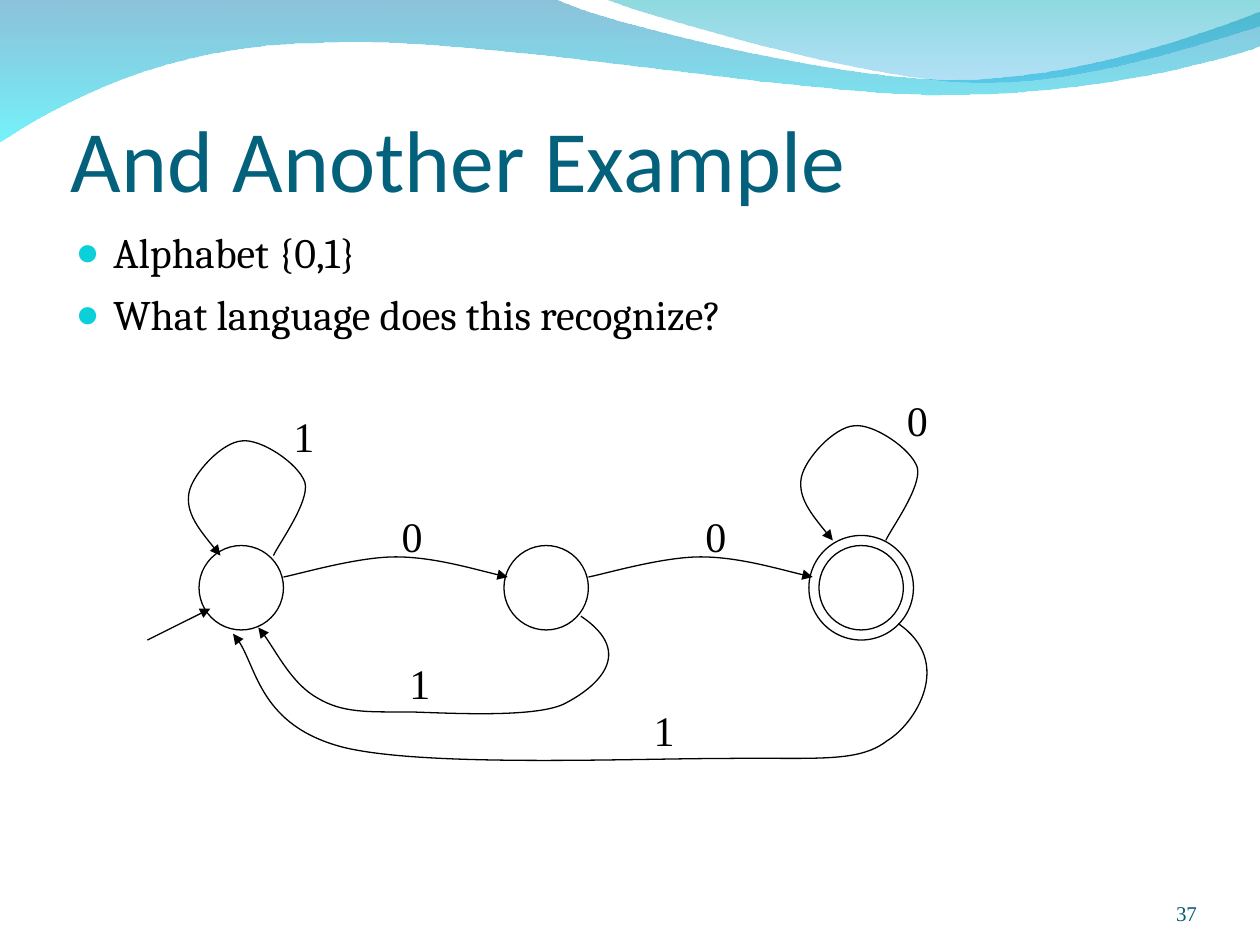
from dataclasses import dataclass

from lxml import etree
from pptx import Presentation
from pptx.dml.color import RGBColor
from pptx.enum.shapes import MSO_CONNECTOR, MSO_SHAPE
from pptx.enum.text import MSO_ANCHOR, MSO_AUTO_SIZE, PP_ALIGN
from pptx.oxml.ns import qn
from pptx.util import Cm, Pt

LINE = MSO_CONNECTOR.STRAIGHT
OVAL = MSO_SHAPE.OVAL
LEFT, RIGHT = PP_ALIGN.LEFT, PP_ALIGN.RIGHT
TOP, BOTTOM = MSO_ANCHOR.TOP, MSO_ANCHOR.BOTTOM
FIXED = MSO_AUTO_SIZE.NONE

INK = {
    "black": "000000", "title": "04617B", "page": "045C75", "dot": "0BD0D9",
    "deep": "0079AF", "aqua": "00EBF8", "teal": "00ADB6", "sky": "009BE5",
}
TITLE = {"name": "Calibri", "size": Pt(50)}
BODY = {"name": "Cambria", "size": Pt(24)}
LABEL = {"name": "Times New Roman", "size": Pt(24)}
PAGE = {"name": "Times New Roman", "size": Pt(12)}

Point = tuple[float, float]
Curve = list[tuple[Point, ...]]  # start, then lines (1 point) or Béziers (3)


@dataclass
class Wave:
    curve: Curve
    stops: list[tuple[str, int]]  # colour, opacity in percent


@dataclass
class State:
    x: float
    y: float
    size: float


@dataclass
class Edge:
    curve: Curve
    text: str
    spot: Point
    shift: Point = (0, 0)


WAVES = [
    Wave([((0, -0.01),), ((4.4, -0.01),),
          ((4.76, 0.17), (6.64, 0.63), (7.58, 0.63)),
          ((8.53, 0.63), (9.58, 0.26), (10, 0.09)), ((10.01, 0.36),),
          ((9.83, 0.44), (8.7, 0.76), (7.46, 0.75)),
          ((6.22, 0.75), (3.82, 0.28), (2.57, 0.34)),
          ((1.29, 0.35), (0.46, 0.83), (-0.01, 1.13)), ((0, -0.01),)],
         [("deep", 45), ("aqua", 55)]),
    Wave([((4.79, -0.01),), ((5.09, 0.11), (6.82, 0.62), (7.69, 0.65)),
          ((8.56, 0.69), (9.61, 0.32), (10, 0.21)), ((10, 0),),
          ((4.79, -0.01),)],
         [("teal", 45), ("sky", 30)]),
]

STATES = [State(x, 4.33, 0.67) for x in (1.58, 4, 6.5)] + [State(6.42, 4.25, 0.83)]

ARC = [((2.25, 4.58),), ((2.4, 4.55), (2.84, 4.42), (3.14, 4.42)),
       ((3.44, 4.42), (3.84, 4.54), (4.03, 4.58))]
LOOP = [((2.17, 4.41),), ((2.21, 4.32), (2.46, 3.98), (2.42, 3.83)),
        ((2.37, 3.68), (2.07, 3.48), (1.92, 3.5)),
        ((1.76, 3.51), (1.53, 3.76), (1.5, 3.91)),
        ((1.47, 4.07), (1.61, 4.24), (1.75, 4.41))]
BACK = [((4.61, 4.89),), ((5.06, 5.19), (4.72, 5.46), (4.49, 5.58)),
        ((4.27, 5.7), (3.58, 5.66), (3.25, 5.65)),
        ((2.92, 5.65), (2.72, 5.66), (2.52, 5.54)),
        ((2.32, 5.43), (2.15, 5.09), (2.05, 4.98))]
RESET = [((7.13, 4.95),), ((7.58, 5.26), (7.26, 5.75), (7.04, 5.88)),
         ((6.81, 6.06), (6.46, 6.01), (5.74, 6.02)),
         ((5.02, 6.02), (3.36, 6.09), (2.72, 5.93)),
         ((2.07, 5.76), (2.03, 5.22), (1.85, 5.03))]
EDGES = [
    Edge(ARC, "0", (3.09, 4)),
    Edge(ARC, "0", (5.5, 4), (2.42, 0)),
    Edge(LOOP, "1", (2.23, 3.21)),
    Edge(LOOP, "0", (7.1, 3.08), (4.86, -0.12)),
    Edge(BACK, "1", (3.15, 5.17)),
    Edge(RESET, "1", (5.09, 5.54)),
]


def unit(val: float) -> int:
    """Turn one grid unit of the slide (2.54 cm) into a length."""
    return Cm(2.54 * val)


def rgb(key: str) -> RGBColor:
    return RGBColor.from_string(INK[key])


def outline(shape, arrow: bool = False) -> None:
    shape.line.color.rgb = rgb("black")
    shape.line.width = Pt(0.75)
    props = shape.element.spPr
    if arrow:
        etree.SubElement(props.find(qn("a:ln")), qn("a:tailEnd"), type="triangle")
    etree.SubElement(props, qn("a:effectLst"))


def freeform(slide, curve: Curve, shift: Point = (0, 0), close: bool = False):
    """Build through all points, then join each Bézier's three lines to one curve."""
    dots = [(unit(x + shift[0]), unit(y + shift[1])) for part in curve for x, y in part]
    form = slide.shapes.build_freeform(*dots[0], scale=1.0)
    form.add_line_segments(dots[1:], close=close)
    shape = form.convert_to_shape()
    lines = iter(list(shape.element.spPr.iter(qn("a:lnTo"))))
    for part in curve[1:]:
        legs = [next(lines) for _ in part]
        if len(legs) == 3:
            bend = etree.Element(qn("a:cubicBezTo"))
            legs[0].addprevious(bend)
            for leg in legs:
                bend.append(leg[0])
                leg.getparent().remove(leg)
    return shape


def place(shape, *box: float) -> None:
    for key, val in zip(("left", "top", "width", "height"), box):
        setattr(shape, key, unit(val))


def write(para, text: str, style: dict, ink: str) -> None:
    run = para.add_run()
    run.text = text
    for key, val in style.items():
        setattr(run.font, key, val)
    run.font.color.rgb = rgb(ink)


def setup(frame, **style) -> None:
    for key, val in style.items():
        setattr(frame, key, val)


def draw_wave(slide, wave: Wave) -> None:
    shape = freeform(slide, wave.curve, close=True)
    shape.shadow.inherit = False
    shape.line.fill.background()
    shape.fill.gradient()
    shape.fill.gradient_angle = 270
    for stop, (ink, _) in zip(shape.fill.gradient_stops, wave.stops):
        stop.color.rgb = rgb(ink)
    marks = shape.element.spPr.iter(qn("a:srgbClr"))
    for mark, (_, alpha) in zip(marks, wave.stops):
        etree.SubElement(mark, qn("a:alpha"), val=str(alpha * 1000))
    slide.shapes.title.element.addprevious(shape.element)


def draw_state(slide, state: State) -> None:
    box = (state.x, state.y, state.size, state.size)
    shape = slide.shapes.add_shape(OVAL, *map(unit, box))
    shape.fill.background()
    outline(shape)


def draw_edge(slide, edge: Edge) -> None:
    shape = freeform(slide, edge.curve, edge.shift)
    shape.fill.background()
    outline(shape, arrow=True)
    box = slide.shapes.add_textbox(*map(unit, (*edge.spot, 0.36, 0.5)))
    box.text_frame.word_wrap = False
    write(box.text_frame.paragraphs[0], edge.text, LABEL, "black")


def add_bullet(para) -> None:
    props = para._p.get_or_add_pPr()
    props.set("marL", str(unit(0.3)))
    props.set("indent", str(-unit(0.3)))
    hue = etree.SubElement(props, qn("a:buClr"))
    etree.SubElement(hue, qn("a:srgbClr"), val=INK["dot"])
    etree.SubElement(props, qn("a:buSzPct"), val="95000")
    etree.SubElement(props, qn("a:buChar"), char="●")


def add_text(slide) -> None:
    title, body = slide.shapes.title, slide.placeholders[1]
    place(title, 0.56, 0.42, 9, 1.25)
    setup(title.text_frame, vertical_anchor=BOTTOM, auto_size=FIXED, margin_left=0,
          margin_right=0, margin_top=unit(0.05), margin_bottom=0)
    head = title.text_frame.paragraphs[0]
    head.alignment = LEFT
    write(head, "And Another Example", TITLE, "title")

    place(body, 0.5, 1.75, 9.08, 1)
    frame = body.text_frame
    setup(frame, vertical_anchor=TOP, auto_size=FIXED)
    for row, text in enumerate(("Alphabet {0,1}", "What language does this recognize?")):
        para = frame.add_paragraph() if row else frame.paragraphs[0]
        add_bullet(para)
        para.space_before = Pt(6.5 if row else 0)
        write(para, text, BODY, "black")

    page = slide.shapes.add_textbox(*map(unit, (8.67, 6.95, 0.83, 0.4)))
    setup(page.text_frame, word_wrap=True, vertical_anchor=BOTTOM, margin_left=0,
          margin_right=0, margin_top=0, margin_bottom=0)
    page.text_frame.paragraphs[0].alignment = RIGHT
    write(page.text_frame.paragraphs[0], "37", PAGE, "page")


def main() -> None:
    deck = Presentation()
    deck.slide_width, deck.slide_height = unit(10), unit(7.5)
    slide = deck.slides.add_slide(deck.slide_layouts[1])
    for wave in WAVES:
        draw_wave(slide, wave)
    add_text(slide)
    for state in STATES:
        draw_state(slide, state)
    for edge in EDGES:
        draw_edge(slide, edge)
    start = slide.shapes.add_connector(LINE, *map(unit, (1.17, 5.08, 1.67, 4.83)))
    outline(start, arrow=True)
    deck.save("out.pptx")


if __name__ == "__main__":
    main()
